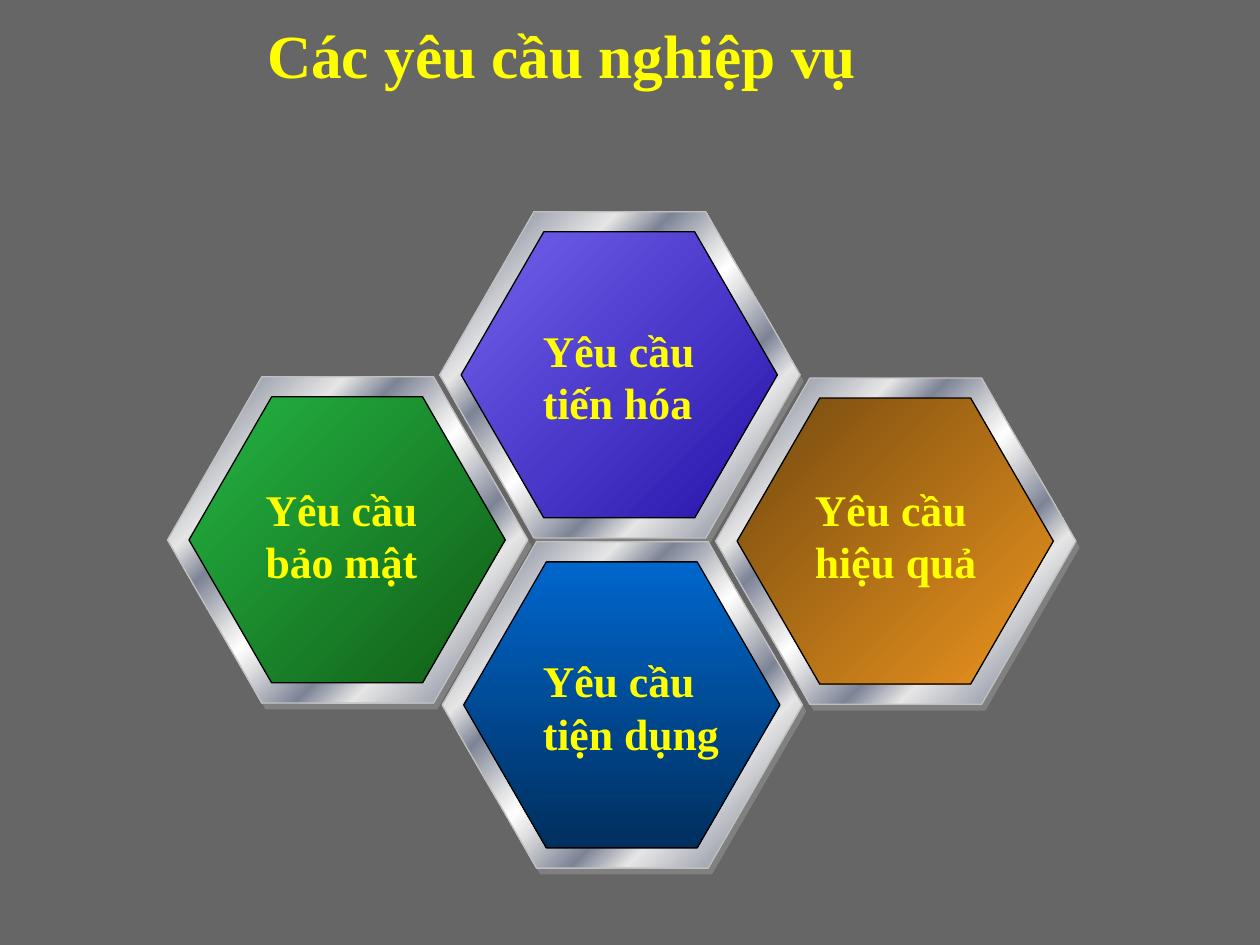
from lxml import etree
from pptx import Presentation
from pptx.dml.color import RGBColor
from pptx.enum.shapes import MSO_SHAPE
from pptx.enum.text import MSO_ANCHOR, PP_ALIGN
from pptx.oxml import parse_xml
from pptx.oxml.ns import nsdecls, qn
from pptx.util import Inches, Pt

HEXAGON, RECTANGLE = MSO_SHAPE.HEXAGON, MSO_SHAPE.RECTANGLE
TOP, LEFT = MSO_ANCHOR.TOP, PP_ALIGN.LEFT

COLORS = {
    "veil": "000000", "text": "FFFF00", "shadow": "808080",
    "rim": "C0C0C0", "outline": "000000",
    "silver": "E6E6E6", "steel": "7D8496", "shine": "FFFFFF",
}
METAL = [(0, COLORS["silver"]), (7, COLORS["steel"]), (26, COLORS["silver"]),
         (34, COLORS["steel"]), (46, COLORS["silver"]), (50, COLORS["shine"]),
         (54, COLORS["silver"]), (66, COLORS["steel"]), (74, COLORS["silver"]),
         (93, COLORS["steel"]), (100, COLORS["silver"])]


def add_hexagon(left, top, width, height, stops, angle=45, line=None):
    """Add a hexagon; a single stop gives a solid fill."""
    hexagon = slide.shapes.add_shape(
        HEXAGON, Inches(left), Inches(top), Inches(width), Inches(height))
    hexagon.shadow.inherit = False
    hexagon.adjustments[0] = 0.289
    if line:
        hexagon.line.color.rgb = RGBColor.from_string(line)
        hexagon.line.width = Pt(0.75)
    else:
        hexagon.line.fill.background()
    if len(stops) == 1:
        hexagon.fill.solid()
        hexagon.fill.fore_color.rgb = RGBColor.from_string(stops[0][1])
        return
    stop_xml = "".join(
        f'<a:gs pos="{position * 1000}"><a:srgbClr val="{color}"/></a:gs>'
        for position, color in stops)
    gradient = parse_xml(
        f'<a:gradFill {nsdecls("a")} rotWithShape="1"><a:gsLst>{stop_xml}</a:gsLst>'
        f'<a:lin ang="{angle * 60000}" scaled="0"/></a:gradFill>')
    hexagon.element.spPr.find(qn("a:prstGeom")).addnext(gradient)


def set_text(box, text, size):
    frame = box.text_frame
    frame.text = text
    frame.word_wrap = True
    frame.vertical_anchor = TOP
    paragraph = frame.paragraphs[0]
    paragraph.alignment = LEFT
    font = paragraph.runs[0].font
    font.name = "Times New Roman"
    font.size = Pt(size)
    font.bold = True
    font.color.rgb = RGBColor.from_string(COLORS["text"])


prs = Presentation()
prs.slide_width, prs.slide_height = Inches(10), Inches(7.5)
slide = prs.slides.add_slide(prs.slide_layouts[5])

# Translucent veil over the white background
veil = slide.shapes.add_shape(
    RECTANGLE, Inches(-0.12), Inches(-0.01), Inches(10.12), Inches(7.51))
veil.shadow.inherit = False
veil.line.fill.background()
veil.fill.solid()
veil.fill.fore_color.rgb = RGBColor.from_string(COLORS["veil"])
veil_color = veil.element.spPr.find(qn("a:solidFill"))[0]
etree.SubElement(veil_color, qn("a:alpha")).set("val", "60000")

# Requirements: ring left and top, face gradient and angle, label, its box
requirements = [
    (3.49, 1.68, "7262EC", "2614AA", 45, "Yêu cầu tiến hóa", 4.21, 2.52, 1.48),
    (1.33, 2.99, "24B443", "115D16", 45, "Yêu cầu bảo mật", 2.01, 3.78, 1.49),
    (5.68, 3.00, "744A0F", "EC941E", 45, "Yêu cầu hiệu quả", 6.37, 3.78, 1.70),
    (3.51, 4.30, "0066CC", "002F5E", 90, "Yêu cầu tiện dụng", 4.21, 5.14, 1.79),
]
for left, top, start, end, angle, label, label_left, label_top, label_width in requirements:
    add_hexagon(left + 0.03, top + 0.05, 2.86, 2.59, [(0, COLORS["shadow"])])
    add_hexagon(left, top, 2.86, 2.59, METAL, line=COLORS["rim"])
    add_hexagon(left + 0.17, top + 0.16, 2.51, 2.27,
                [(0, start), (100, end)], angle, COLORS["outline"])
    label_box = slide.shapes.add_textbox(
        Inches(label_left), Inches(label_top), Inches(label_width), Inches(0.94))
    set_text(label_box, label, 25)

# Title
title = slide.shapes.title
title.left, title.top = Inches(2.02), Inches(0.09)
title.width, title.height = Inches(8.3), Inches(0.69)
set_text(title, "Các yêu cầu nghiệp vụ", 35)
slide.shapes._spTree.append(title.element)  # in front of the veil

prs.save("out.pptx")
